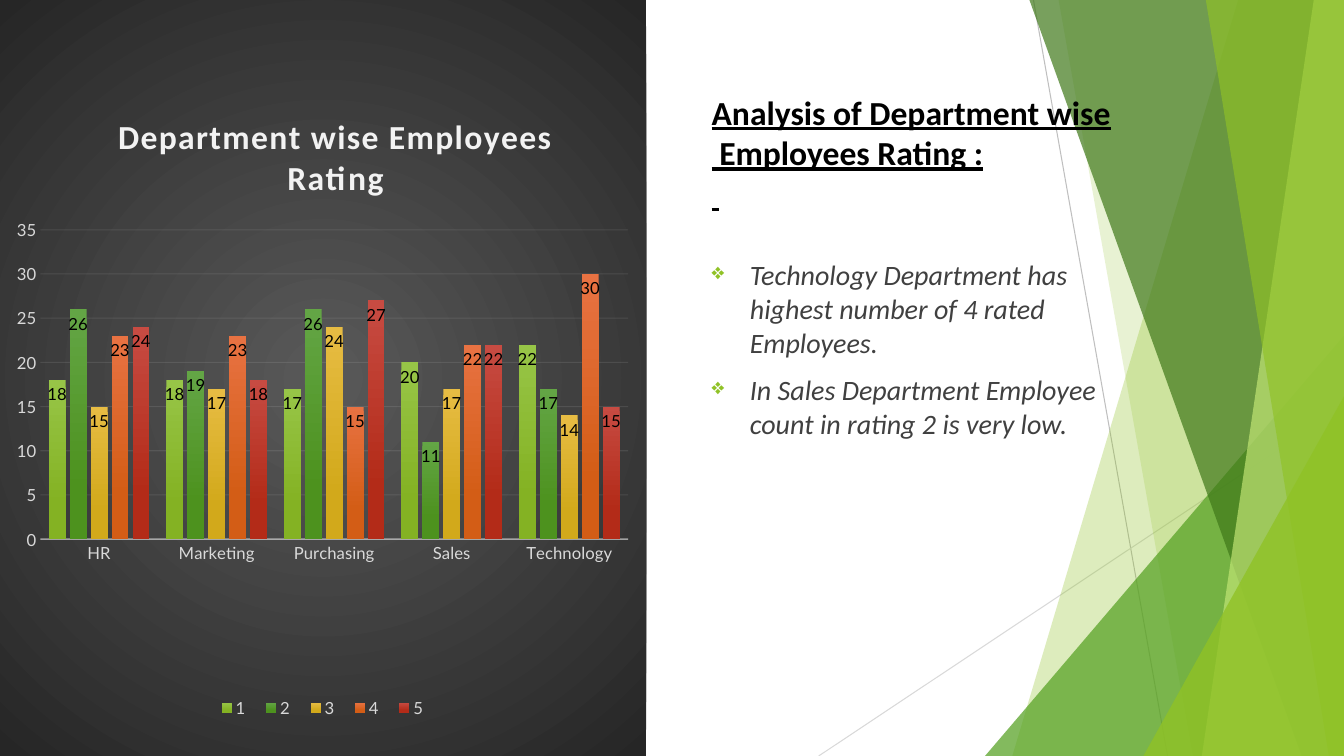
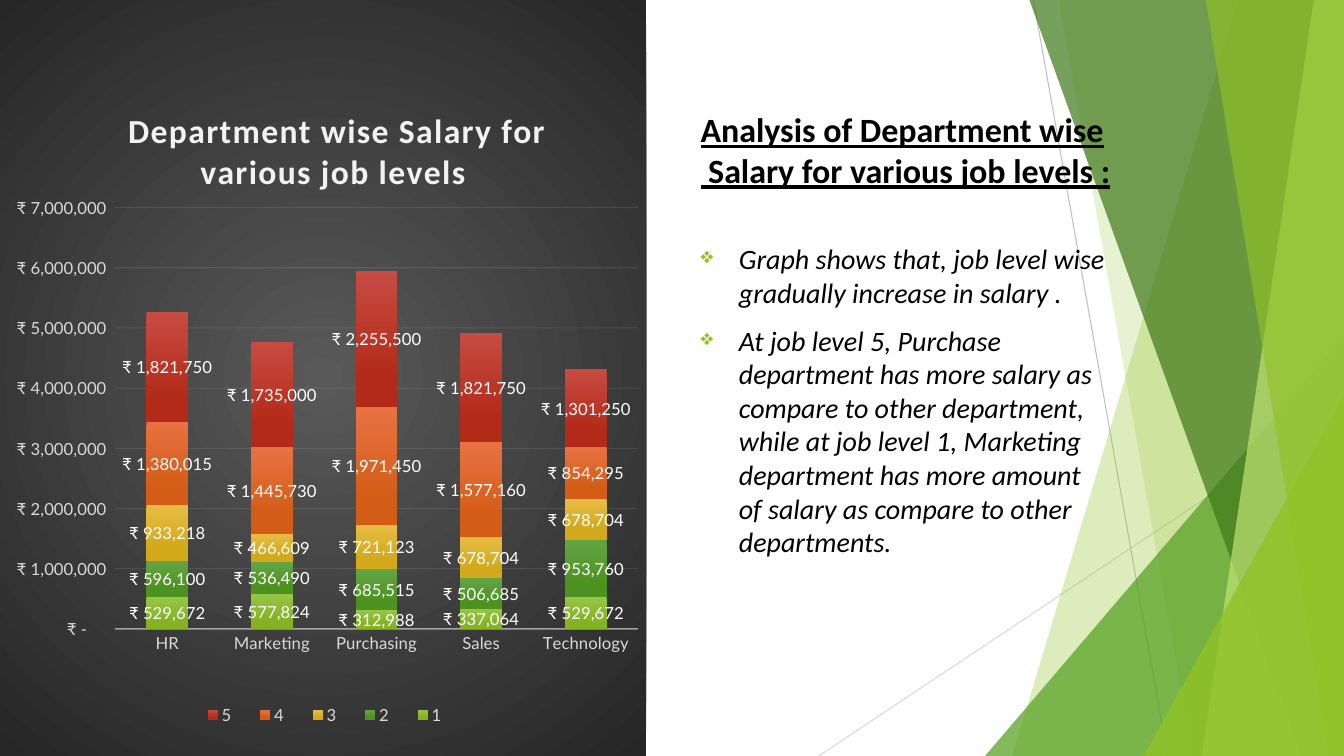
"""Build two slides that pair a department chart with its analysis."""
from dataclasses import dataclass

from lxml import etree
from pptx import Presentation
from pptx.chart.data import CategoryChartData
from pptx.dml.color import RGBColor
from pptx.enum.chart import XL_CHART_TYPE, XL_LABEL_POSITION, XL_LEGEND_POSITION, XL_TICK_MARK
from pptx.enum.shapes import MSO_CONNECTOR, MSO_SHAPE
from pptx.oxml import parse_xml
from pptx.oxml.ns import nsdecls, qn
from pptx.util import Inches, Pt

CLUSTERED = XL_CHART_TYPE.COLUMN_CLUSTERED
STACKED = XL_CHART_TYPE.COLUMN_STACKED
INSIDE_END = XL_LABEL_POSITION.INSIDE_END
CENTER = XL_LABEL_POSITION.CENTER
LEGEND_RIGHT = XL_LEGEND_POSITION.RIGHT
NO_TICK = XL_TICK_MARK.NONE
STRAIGHT = MSO_CONNECTOR.STRAIGHT
TRIANGLE = MSO_SHAPE.ISOSCELES_TRIANGLE

WIDTH, HEIGHT = 13.33, 7.5


@dataclass(frozen=True)
class Theme:
    """Colours, fonts and type sizes."""
    text_font: str = "Calibri"
    chart_font: str = "Lato"
    black: str = "000000"
    white: str = "FFFFFF"
    gray: str = "404040"
    lime: str = "90C226"
    green: str = "54A021"
    forest: str = "3F7819"
    pale: str = "C0E474"
    axis_text: str = "D9D9D9"
    axis_line: str = "F2F2F2"
    panel: tuple = ("595959", "262626")
    series: tuple = (("97C547", "84B223"), ("63A545", "4D921E"), ("E7BC43", "D2A91B"),
                     ("E87242", "D35D16"), ("C74B42", "B32B18"))
    title_size: float = 24
    body_size: float = 20
    chart_size: float = 11.9


THEME = Theme()

RAYS = [((10.25, 0), (11.58, HEIGHT), "BFBFBF"), ((WIDTH, 4.03), (8.12, HEIGHT), "D9D9D9")]
FACETS = [
    ("band", 12.28, 10.04, THEME.lime, 30),
    ("band", 10.5, 11.83, THEME.lime, 20),
    ("corner", 9.77, 3.33, THEME.green, 72),
    ("band", 10.21, 12.91, THEME.forest, 70),
    ("band", 13.03, 11.92, THEME.pale, 70),
    ("band", 11.96, 13.18, THEME.lime, 65),
    ("corner", 11.34, 3.93, THEME.lime, 80),
]

DEPARTMENTS = ["HR", "Marketing", "Purchasing", "Sales", "Technology"]
RUPEES = r'_ [$₹-4009]\ * #,##0_ ;_ [$₹-4009]\ * \-#,##0_ ;_ [$₹-4009]\ * "-"??_ ;_ @_ '

PAGES = [
    {
        "heading": "Analysis of Department wise\n Employees Rating :\n ",
        "heading_box": (6.96, 0.86, 6.08, 1.15),
        "heading_size": THEME.title_size,
        "points": ["Technology Department has highest number of 4 rated Employees.",
                   "In Sales Department Employee count in rating 2 is very low."],
        "points_box": (6.96, 2.51, 4.1, 2.23),
        "points_color": THEME.gray,
        "chart": {
            "kind": CLUSTERED, "title": "Department wise Employees Rating",
            "box": (0, 0, 6.41, 7.5), "title_at": (1.11, 1.07),
            "plot_at": (0.4, 2.28, 5.83, 3.07), "legend_at": (2.05, 6.86, 2.3, 0.32),
            "gap": 100, "overlap": -24, "top": 35, "step": 5, "format": "General",
            "label_at": INSIDE_END, "label_color": THEME.black,
            "rows": [(18, 18, 17, 20, 22), (26, 19, 26, 11, 17), (15, 17, 24, 17, 14),
                     (23, 23, 15, 22, 30), (24, 18, 27, 22, 15)],
        },
    },
    {
        "heading": "Analysis of Department wise\n Salary for various job levels :",
        "heading_box": (6.85, 1.03, 6.08, 1.11),
        "heading_size": 24.3,
        "points": ["Graph shows that, job level wise gradually increase in salary .",
                   "At job level 5, Purchase department has more salary as compare to other "
                   "department, while at job level 1, Marketing department has more amount "
                   "of salary as compare to other departments."],
        "points_box": (6.85, 2.35, 4.23, 3.52),
        "points_color": THEME.black,
        "chart": {
            "kind": STACKED, "title": "Department wise Salary for various job levels ",
            "box": (0, -0.02, 6.41, 7.52), "title_at": (1.21, 1.03),
            "plot_at": (1.14, 2.08, 5.19, 4.18), "legend_at": (1.83, 6.95, 2.78, 0.32),
            "gap": 150, "overlap": 100, "top": 7000000, "step": 1000000, "format": RUPEES,
            "label_at": CENTER, "label_color": THEME.white,
            "rows": [(529672, 577824, 312988, 337064, 529672),
                     (596100, 536490, 685515, 506685, 953760),
                     (933218, 466609, 721123, 678704, 678704),
                     (1380015, 1445730, 1971450, 1577160, 854295),
                     (1821750, 1735000, 2255500, 1821750, 1301250)],
        },
    },
]


def inches(values):
    return [Inches(value) for value in values]


def fade(element, percent):
    for color in element.iter(qn("a:srgbClr")):
        etree.SubElement(color, qn("a:alpha")).set("val", str(percent * 1000))


def set_font(font, size, color, name, bold=False, italic=False, underline=False):
    font.size, font.name = Pt(size), name
    font.color.rgb = RGBColor.from_string(color)
    font.bold, font.italic, font.underline = bold, italic, underline


def set_line(line, color, width):
    line.color.rgb = RGBColor.from_string(color)
    line.width = Pt(width)


def add_bullet(para):
    para.space_before = Pt(10)
    props = para._p.get_or_add_pPr()
    props.set("marL", str(Inches(0.38)))
    props.set("indent", str(-Inches(0.38)))
    color = etree.SubElement(props, qn("a:buClr"))
    etree.SubElement(color, qn("a:srgbClr")).set("val", THEME.lime)
    etree.SubElement(props, qn("a:buSzPct")).set("val", "80000")
    etree.SubElement(props, qn("a:buChar")).set("char", "❖")


def add_text(slide, box, texts, bullets=False, **style):
    frame = slide.shapes.add_textbox(*inches(box)).text_frame
    frame.word_wrap = True
    for index, text in enumerate(texts):
        para = frame.add_paragraph() if index else frame.paragraphs[0]
        if bullets:
            add_bullet(para)
        for number, line in enumerate(text.split("\n")):
            if number:
                para.add_line_break()
            span = para.add_run()
            span.text = line
            set_font(span.font, name=THEME.text_font, **style)


def add_facet(shapes, kind, first, second, color, opacity):
    if kind == "band":
        builder = shapes.build_freeform(Inches(first), 0)
        corners = [(WIDTH, 0), (WIDTH, HEIGHT), (second, HEIGHT)]
        builder.add_line_segments([inches(corner) for corner in corners], close=True)
        facet = builder.convert_to_shape()
    else:
        box = (first, second, WIDTH - first, HEIGHT - second)
        facet = shapes.add_shape(TRIANGLE, *inches(box))
        facet.adjustments[0] = 1
    facet.shadow.inherit = False
    facet.fill.solid()
    facet.fill.fore_color.rgb = RGBColor.from_string(color)
    facet.line.fill.background()
    fade(facet._element, opacity)


def decorate_layout(layout, slide):
    """Draw the shared facets and move them to the layout."""
    for holder in list(layout.placeholders):
        layout.shapes._spTree.remove(holder._element)
    for start, end, color in RAYS:
        ray = slide.shapes.add_connector(STRAIGHT, *inches(start + end))
        set_line(ray.line, color, 0.75)
        etree.SubElement(ray._element.spPr, qn("a:effectLst"))
    for facet in FACETS:
        add_facet(slide.shapes, *facet)
    for shape in list(slide.shapes):
        layout.shapes._spTree.append(shape._element)


def place(element, index, spot, size):
    """Give a chart part a fixed spot, as shares of the chart."""
    for old in element.findall(qn("c:layout")):
        element.remove(old)
    layout = etree.Element(qn("c:layout"))
    manual = etree.SubElement(layout, qn("c:manualLayout"))
    if index == 0:
        etree.SubElement(manual, qn("c:layoutTarget")).set("val", "inner")
    for mode in ("xMode", "yMode"):
        etree.SubElement(manual, qn("c:" + mode)).set("val", "edge")
    for key, length, whole in zip("xywh", spot, size * 2):
        etree.SubElement(manual, qn("c:" + key)).set("val", f"{length / whole:.4f}")
    element.insert(index, layout)


def fill_panel(chart):
    inner, outer = THEME.panel
    panel = parse_xml(
        f'<c:spPr {nsdecls("c", "a")}><a:gradFill><a:gsLst>'
        f'<a:gs pos="0"><a:srgbClr val="{inner}"/></a:gs>'
        f'<a:gs pos="100000"><a:srgbClr val="{outer}"/></a:gs></a:gsLst>'
        '<a:path path="circle"><a:fillToRect l="50000" t="50000" r="50000" b="50000"/></a:path>'
        '</a:gradFill><a:ln><a:noFill/></a:ln></c:spPr>')
    chart._chartSpace.find(qn("c:chart")).addnext(panel)


def style_axes(chart, top, step, number_format):
    category, value = chart.category_axis, chart.value_axis
    set_line(category.format.line, THEME.axis_line, 1)
    fade(category._element, 54)
    value.has_major_gridlines = True
    set_line(value.major_gridlines.format.line, THEME.axis_line, 0.75)
    fade(value._element, 10)
    value.format.line.fill.background()
    value.minimum_scale, value.maximum_scale, value.major_unit = 0, top, step
    value.tick_labels.number_format = number_format
    value.tick_labels.number_format_is_linked = False
    for axis in (category, value):
        axis.major_tick_mark = axis.minor_tick_mark = NO_TICK
        set_font(axis.tick_labels.font, THEME.chart_size, THEME.axis_text, THEME.chart_font)


def style_columns(plot, info):
    plot.gap_width, plot.overlap = info["gap"], info["overlap"]
    plot.vary_by_categories = False
    plot.has_data_labels = True
    labels = plot.data_labels
    labels.show_value = True
    labels.position = info["label_at"]
    labels.number_format = info["format"]
    labels.number_format_is_linked = False
    set_font(labels.font, THEME.chart_size, info["label_color"], THEME.chart_font)
    for series, colors in zip(plot.series, THEME.series):
        fill = series.format.fill
        fill.gradient()
        fill.gradient_angle = 270
        for stop, color, position in zip(fill.gradient_stops, colors, (0, 0.78)):
            stop.color.rgb = RGBColor.from_string(color)
            stop.position = position


def add_department_chart(slide, info):
    data = CategoryChartData(number_format=info["format"])
    data.categories = DEPARTMENTS
    for level, row in enumerate(info["rows"], 1):
        data.add_series(str(level), row)
    chart = slide.shapes.add_chart(info["kind"], *inches(info["box"]), data).chart
    size = info["box"][2:]
    set_font(chart.font, 10, THEME.black, THEME.chart_font)
    fill_panel(chart)
    style_axes(chart, info["top"], info["step"], info["format"])
    style_columns(chart.plots[0], info)

    chart.has_title = True
    span = chart.chart_title.text_frame.paragraphs[0].add_run()
    span.text = info["title"]
    set_font(span.font, THEME.title_size, THEME.axis_line, THEME.text_font, bold=True)
    span._r.get_or_add_rPr().set("spc", "100")

    chart.has_legend = True
    chart.legend.position = LEGEND_RIGHT
    chart.legend.include_in_layout = False
    set_font(chart.legend.font, THEME.chart_size, THEME.axis_text, THEME.chart_font)

    place(chart.chart_title._element, 1, info["title_at"], size)
    place(chart.legend._element, 1, info["legend_at"], size)
    place(chart._chartSpace.find(".//" + qn("c:plotArea")), 0, info["plot_at"], size)


def main():
    deck = Presentation()
    deck.slide_width, deck.slide_height = inches((WIDTH, HEIGHT))
    blank = deck.slide_layouts[6]
    slides = [deck.slides.add_slide(blank) for _ in PAGES]
    decorate_layout(blank, slides[0])
    for slide, page in zip(slides, PAGES):
        add_text(slide, page["heading_box"], [page["heading"]], size=page["heading_size"],
                 color=THEME.black, bold=True, underline=True)
        add_text(slide, page["points_box"], page["points"], bullets=True,
                 size=THEME.body_size, color=page["points_color"], italic=True)
        add_department_chart(slide, page["chart"])
    deck.save("out.pptx")


if __name__ == "__main__":
    main()
